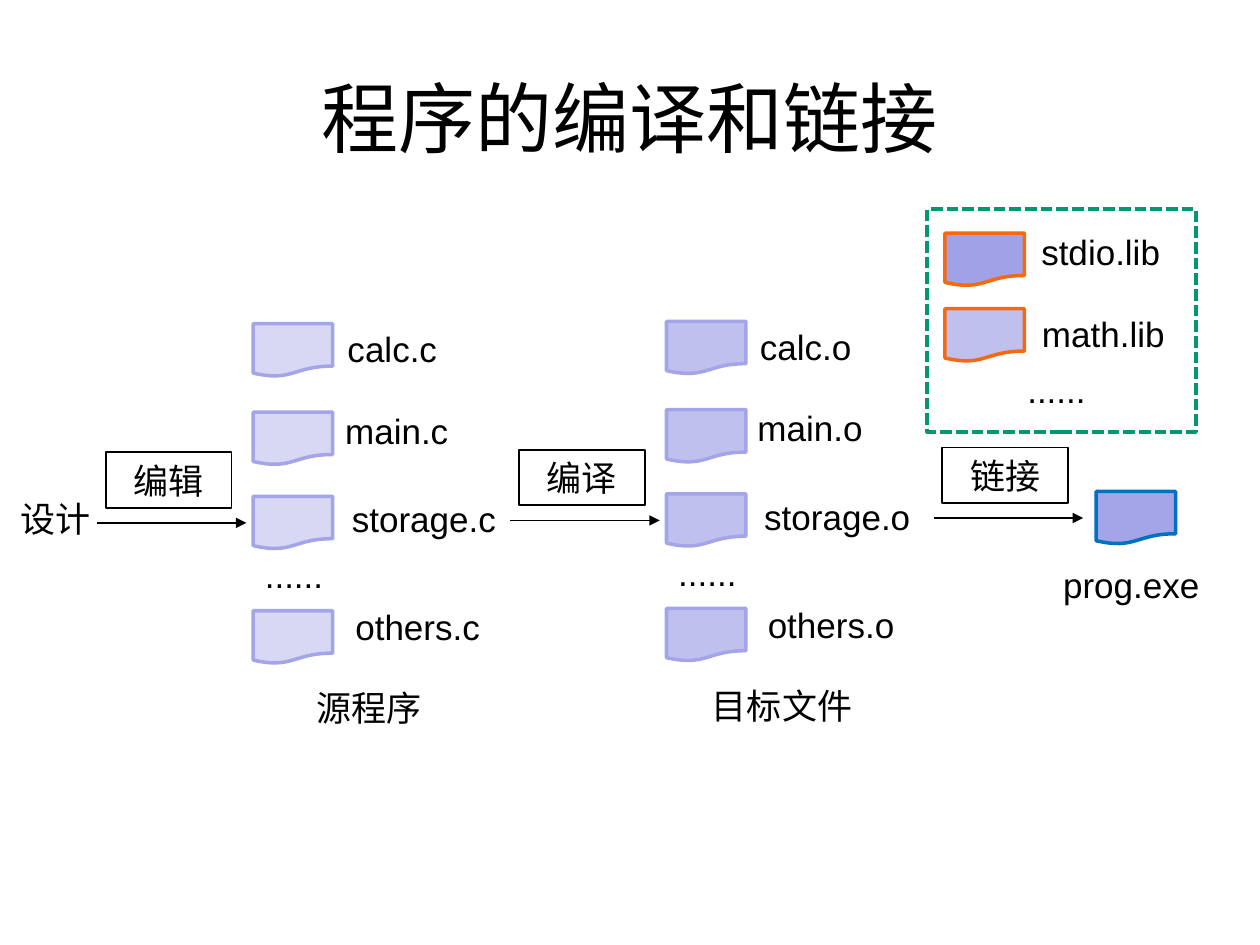
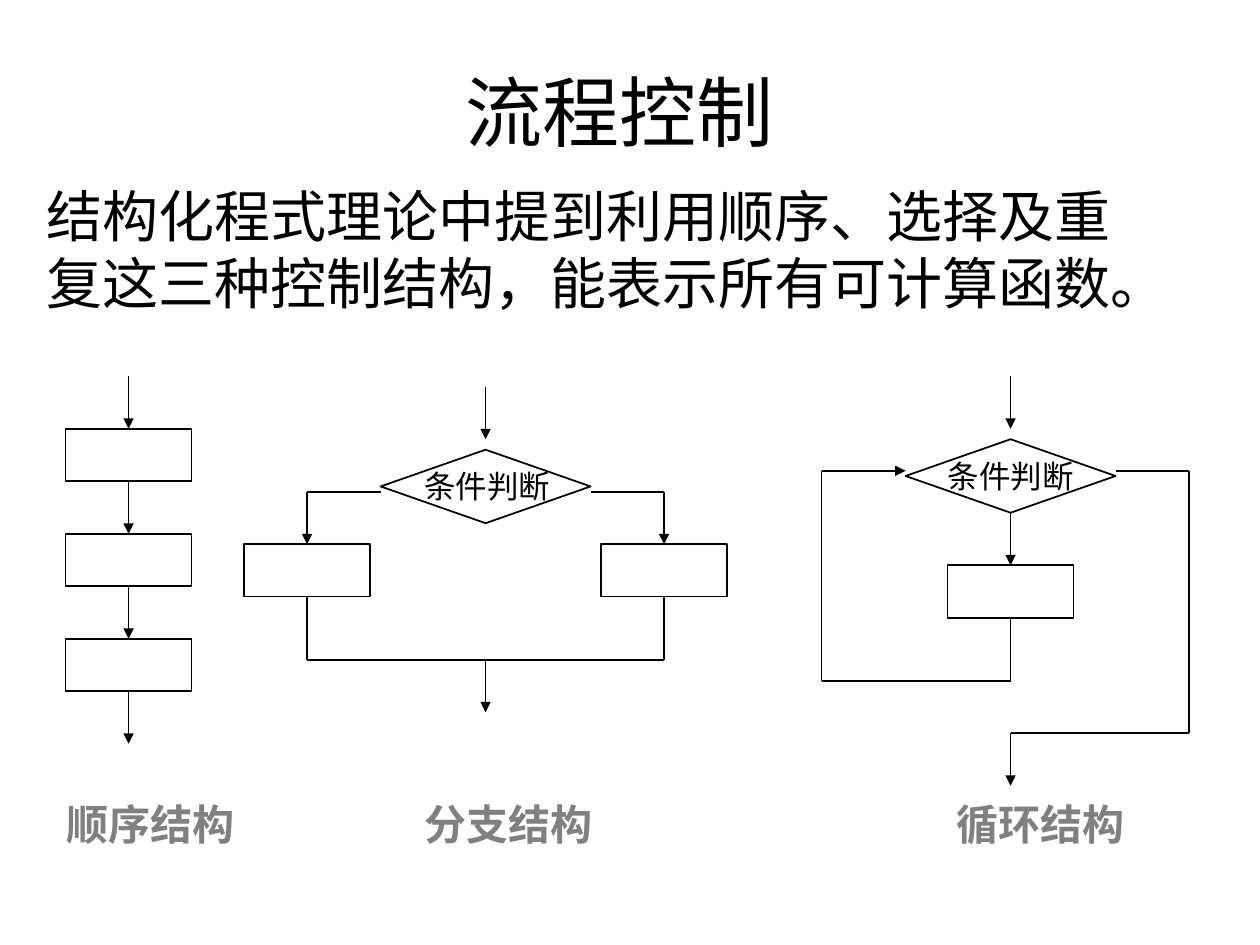
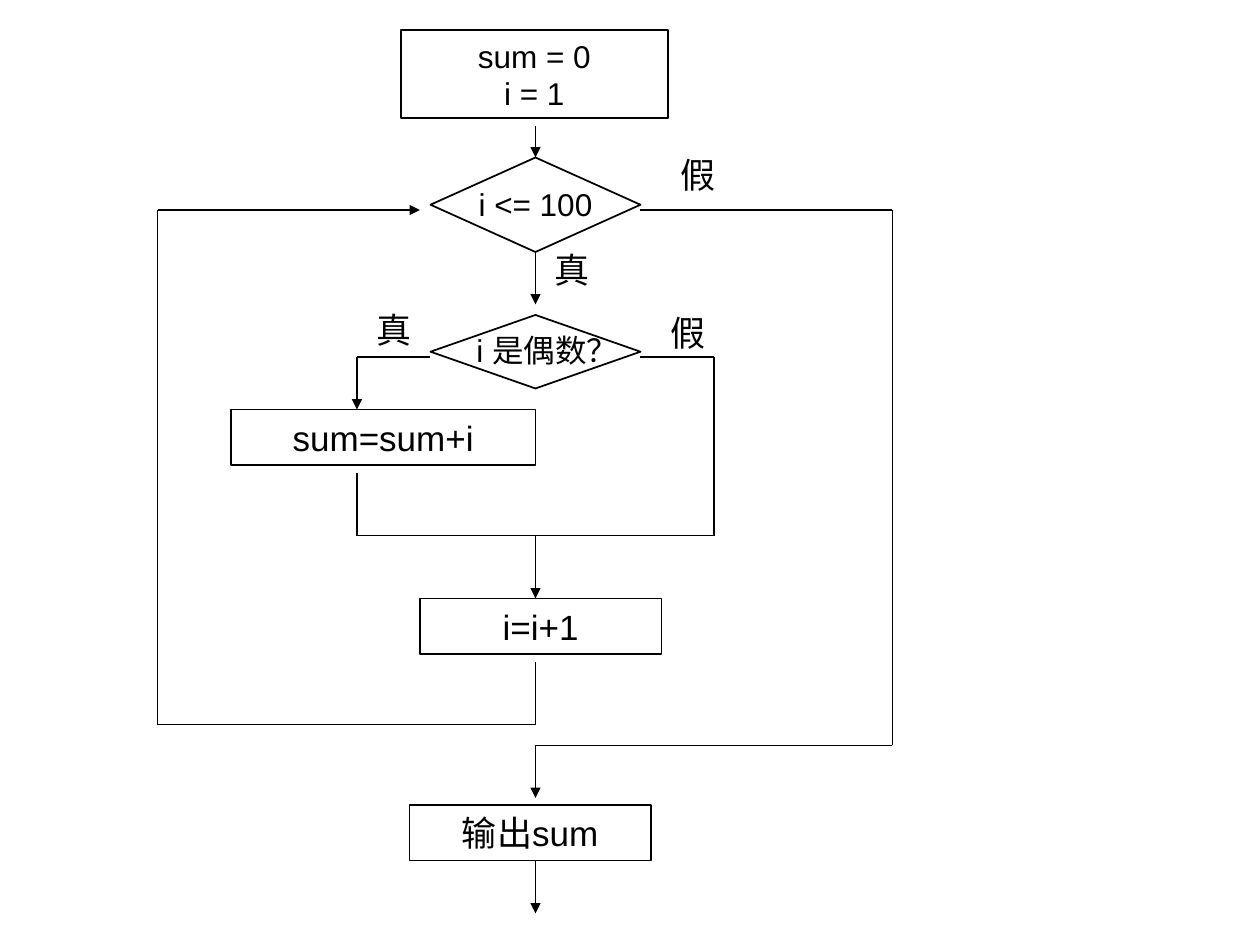
from dataclasses import dataclass
from itertools import pairwise

from lxml.etree import SubElement
from pptx import Presentation
from pptx.dml.color import RGBColor
from pptx.enum.dml import MSO_LINE
from pptx.enum.shapes import MSO_CONNECTOR, MSO_SHAPE
from pptx.enum.text import MSO_ANCHOR, MSO_AUTO_SIZE, PP_ALIGN
from pptx.oxml.ns import qn
from pptx.util import Pt


@dataclass(frozen=True)
class Theme:
    font: str = "Arial"
    caption_font: str = "Noto Sans CJK SC"
    ink: str = "000000"
    gray: str = "808080"
    lilac: str = "A4A4E9"
    violet: str = "7777DE"
    orange: str = "F9680D"
    blue: str = "0070C0"
    green: str = "009771"
    title: int = 44
    body: int = 32
    caption: int = 24
    label: int = 20
    node: int = 18


T = Theme()
TOP, BOTTOM = 0, 2
BOX_W, BOX_H = 72, 30
LABEL_H = 31.7
DIAMOND_W = 120
STEP = 30


def write(tf, text, size=T.label, color=T.ink, font=T.font, bold=False,
          align=PP_ALIGN.CENTER, anchor=MSO_ANCHOR.TOP, wrap=True, spacing=None):
    tf.word_wrap = wrap
    tf.auto_size = MSO_AUTO_SIZE.NONE
    tf.vertical_anchor = anchor
    for i, line in enumerate(text.split("\n")):
        p = tf.paragraphs[0] if i == 0 else tf.add_paragraph()
        p.alignment = align
        p.space_before = Pt(0)
        if spacing:
            p.line_spacing = spacing
        r = p.add_run()
        r.text = line
        r.font.size = Pt(size)
        r.font.bold = bold
        r.font.color.rgb = RGBColor.from_string(color)
        r.font.name = font
        SubElement(r.font._element, qn("a:ea"), typeface=font)


def place(sp, x, y, w, h):
    sp.left, sp.top, sp.width, sp.height = Pt(x), Pt(y), Pt(w), Pt(h)


def add_text(s, text, x, y, w, h=LABEL_H, **fmt):
    tb = s.shapes.add_textbox(Pt(x), Pt(y), Pt(w), Pt(h))
    write(tb.text_frame, text, **fmt)


def add_box(s, x, y, w=BOX_W, h=BOX_H, text="", kind=MSO_SHAPE.RECTANGLE,
            fill=None, alpha=100, line=T.ink, weight=1, dash=None, **fmt):
    sp = s.shapes.add_shape(kind, Pt(x), Pt(y), Pt(w), Pt(h))
    sp.shadow.inherit = False
    if fill:
        sp.fill.solid()
        sp.fill.fore_color.rgb = RGBColor.from_string(fill)
        if alpha < 100:
            clr = sp.fill._xPr.find(qn("a:solidFill"))[0]
            SubElement(clr, qn("a:alpha"), val=str(alpha * 1000))
    else:
        sp.fill.background()
    sp.line.color.rgb = RGBColor.from_string(line)
    sp.line.width = Pt(weight)
    if dash:
        sp.line.dash_style = dash
    if text:
        write(sp.text_frame, text, anchor=MSO_ANCHOR.MIDDLE, **fmt)
    return sp


def add_diamond(s, cx, y, h=42):
    return add_box(s, cx - DIAMOND_W / 2, y, DIAMOND_W, h, kind=MSO_SHAPE.DIAMOND)


def add_path(s, *points, arrow=False, begin=None, end=None):
    """Join points with straight connectors; begin and end are (shape, site)."""
    for (x1, y1), (x2, y2) in pairwise(points):
        c = s.shapes.add_connector(MSO_CONNECTOR.STRAIGHT, Pt(x1), Pt(y1), Pt(x2), Pt(y2))
        c.line.color.rgb = RGBColor.from_string(T.ink)
        c.line.width = Pt(1)
        if begin and (x1, y1) == points[0]:
            c.begin_connect(*begin)
        if (x2, y2) == points[-1]:
            if end:
                c.end_connect(*end)
            if arrow:
                SubElement(c.line._get_or_add_ln(), qn("a:tailEnd"), type="triangle")
        SubElement(c._element.spPr, qn("a:effectLst"))


def set_title(s, text, x, y, w, h):
    place(s.shapes.title, x, y, w, h)
    write(s.shapes.title.text_frame, text, size=T.title, anchor=MSO_ANCHOR.MIDDLE)


def set_body(s, text, x, y, w, h):
    body = s.placeholders[1]
    place(body, x, y, w, h)
    pPr = body.text_frame.paragraphs[0]._p.get_or_add_pPr()
    pPr.set("marL", "0")
    pPr.set("indent", "0")
    SubElement(pPr, qn("a:buNone"))
    write(body.text_frame, text, size=T.body, align=PP_ALIGN.LEFT)


# Compiling and linking

def add_file(s, x, y, fill=T.lilac, alpha=100, line=T.lilac):
    add_box(s, x, y, 45.4, 30.2, kind=MSO_SHAPE.FLOWCHART_DOCUMENT,
            fill=fill, alpha=alpha, line=line, weight=2)


def file_column(s, x, y, suffix, caption, alpha):
    # stem, file top, label left, label top, label width
    rows = [("calc", 0, 34, -1.4, 91), ("main", 50.5, 34, 45.4, 96),
            ("storage", 98.6, 39.6, 95.8, 116), ("others", 164, 45, 157.7, 98)]
    for stem, file_y, label_x, label_y, label_w in rows:
        add_file(s, x, y + file_y, alpha=alpha)
        add_text(s, stem + suffix, x + label_x, y + label_y, label_w)
    add_text(s, "......", x - 9.4, y + 128, 65.5)
    add_text(s, caption, x, y + 203.8, 132)


def build_step(s, x, y, label):
    add_box(s, x + 5, y - 40.3, h=LABEL_H, text=label)
    add_path(s, (x, y), (x + 85.4, y), arrow=True)


def library_panel(s, x, y):
    add_file(s, x + 10, y + 13.7, fill=T.violet, alpha=69, line=T.orange)
    add_file(s, x + 10, y + 56.9, alpha=69, line=T.orange)
    add_text(s, "stdio.lib", x + 51, y + 8.6, 96)
    add_text(s, "math.lib", x + 51, y + 55.4, 99)
    add_box(s, x, y, 153.4, 127.4, line=T.green, weight=2.25, dash=MSO_LINE.SQUARE_DOT)
    add_text(s, "......", x + 41, y + 87.8, 65.5)


def compile_slide(s):
    set_title(s, "程序的编译和链接", 36, 21.6, 648, 90)
    add_text(s, "设计", 1.4, 280.8, 60.5)
    file_column(s, 144.7, 185, ".c", "源程序", 42)
    file_column(s, 380.9, 183.6, ".o", "目标文件", 69)
    for x, y, label in [(55.4, 298.8, "编辑"), (291.6, 297.4, "编译"), (533.5, 296, "链接")]:
        build_step(s, x, y, label)
    add_file(s, 626.4, 280.8, line=T.blue)
    add_text(s, "prog.exe", 588.2, 318.2, 116.6)
    library_panel(s, 530, 119.5)


# Control structures

def sequence_chart(s, cx, y):
    above = None
    for i in range(3):
        start = y + 2 * STEP * i
        box = add_box(s, cx - BOX_W / 2, start + STEP)
        add_path(s, (cx, start), (cx, start + STEP), arrow=True,
                 begin=above, end=(box, TOP))
        above = (box, BOTTOM)
    add_path(s, (cx, y + 6 * STEP), (cx, y + 7 * STEP), arrow=True, begin=above)


def branch_chart(s, cx, y):
    add_path(s, (cx, y), (cx, y + STEP), arrow=True)
    add_diamond(s, cx, y + 36)
    arm_y, box_y, join_y = y + 60, y + 90, y + 156
    for side in (-1, 1):
        x = cx + side * 102
        box = add_box(s, x - BOX_W / 2, box_y)
        add_path(s, (cx + side * DIAMOND_W / 2, arm_y), (x, arm_y), (x, box_y),
                 arrow=True, end=(box, TOP))
        add_path(s, (x, box_y + BOX_H), (x, join_y), begin=(box, BOTTOM))
    add_path(s, (cx - 102, join_y), (cx + 102, join_y))
    add_path(s, (cx, join_y), (cx, join_y + STEP), arrow=True)
    add_text(s, "条件判断", cx - 42, y + 42.5, 86.4, 28.8, size=T.node,
             align=PP_ALIGN.LEFT, wrap=False)


def loop_chart(s, cx, y):
    add_path(s, (cx, y), (cx, y + STEP), arrow=True)
    test = add_diamond(s, cx, y + 36)
    box = add_box(s, cx - BOX_W / 2, y + 108)
    add_path(s, (cx, y + 78), (cx, y + 108), arrow=True,
             begin=(test, BOTTOM), end=(box, TOP))
    arm_y, back_y, exit_y = y + 54, y + 174, y + 204
    left, right = cx - 108, cx + 102
    add_path(s, (cx, y + 138), (cx, back_y), (left, back_y), (left, arm_y),
             (cx - DIAMOND_W / 2, arm_y), arrow=True, begin=(box, BOTTOM))
    add_path(s, (cx + DIAMOND_W / 2, arm_y), (right, arm_y), (right, exit_y),
             (cx, exit_y), (cx, exit_y + STEP), arrow=True)
    add_text(s, "条件判断", cx - 43, y + 42.5, 86.4, 28.8, size=T.node,
             align=PP_ALIGN.LEFT, wrap=False)


def control_slide(s):
    set_title(s, "流程控制", 30, 9.4, 648, 108)
    set_body(s, "结构化程式理论中提到利用顺序、选择及重复这三种控制结构，能表示所有可计算函数。",
             19.4, 100, 636, 91.4)
    sequence_chart(s, 73.5, 215)
    branch_chart(s, 277.5, 221)
    loop_chart(s, 577.5, 215)
    for x, caption in [(31, "顺序结构"), (235.5, "分支结构"), (539.3, "循环结构")]:
        add_text(s, caption, x, 455.8, 138, 30, size=T.caption, color=T.gray,
                 font=T.caption_font, bold=True, align=PP_ALIGN.LEFT, spacing=0.9)


# Sum of even numbers

def even_test(s, cx, y):
    """Branch that adds i when it is even, then joins again at cx."""
    add_diamond(s, cx, y)
    left, right, arm_y, join_y = cx - 102, cx + 102, y + 24, y + 126
    add_text(s, "i 是偶数？", cx - 53.3, y + 5.8, DIAMOND_W, 28.8, size=T.node)
    add_path(s, (cx - DIAMOND_W / 2, arm_y), (left, arm_y), (left, y + 54), arrow=True)
    add_box(s, cx - 174, y + 54, 174, LABEL_H, "sum=sum+i")
    add_path(s, (left, y + 90), (left, join_y), (right, join_y),
             (right, arm_y), (cx + DIAMOND_W / 2, arm_y))
    add_path(s, (cx, join_y), (cx, join_y + 36), arrow=True)
    add_text(s, "真", cx - 102, y - 7.2, 42)
    add_text(s, "假", cx + 66, y - 5.8, 42)


def sum_slide(s):
    cx, arm_y, left, right = 306, 120, 90, 510
    back_y, exit_y = 414, 426
    add_box(s, 229, 17.3, 152.6, 50.4, "sum = 0\ni = 1", size=T.node)
    test = add_diamond(s, cx, 90, 54)
    add_text(s, "i <= 100", cx - DIAMOND_W / 2, 102.2, DIAMOND_W, 28.8, size=T.node)
    add_path(s, (cx, 72), (cx, 90), arrow=True, end=(test, TOP))
    add_path(s, (cx, 144), (cx, 174), arrow=True, begin=(test, BOTTOM))
    even_test(s, cx, 180)
    add_box(s, 240, 342, 138, LABEL_H, "i=i+1")
    add_path(s, (cx, 378), (cx, back_y), (left, back_y), (left, arm_y),
             (240, arm_y), arrow=True)
    add_path(s, (cx + DIAMOND_W / 2, arm_y), (right, arm_y), (right, exit_y),
             (cx, exit_y), (cx, exit_y + STEP), arrow=True)
    add_box(s, 234, 460, 138, LABEL_H, "输出sum")
    add_path(s, (cx, 492), (cx, 522), arrow=True)
    add_text(s, "真", cx, 138.2, 42)
    add_text(s, "假", 378, 84.2, 42)


def main():
    prs = Presentation()
    prs.slide_width, prs.slide_height = Pt(720), Pt(540)
    title_only, title_body, blank = (prs.slide_layouts[i] for i in (5, 1, 6))
    for layout, build in [(title_only, compile_slide), (title_body, control_slide),
                          (blank, sum_slide)]:
        build(prs.slides.add_slide(layout))
    prs.save("out.pptx")


if __name__ == "__main__":
    main()
